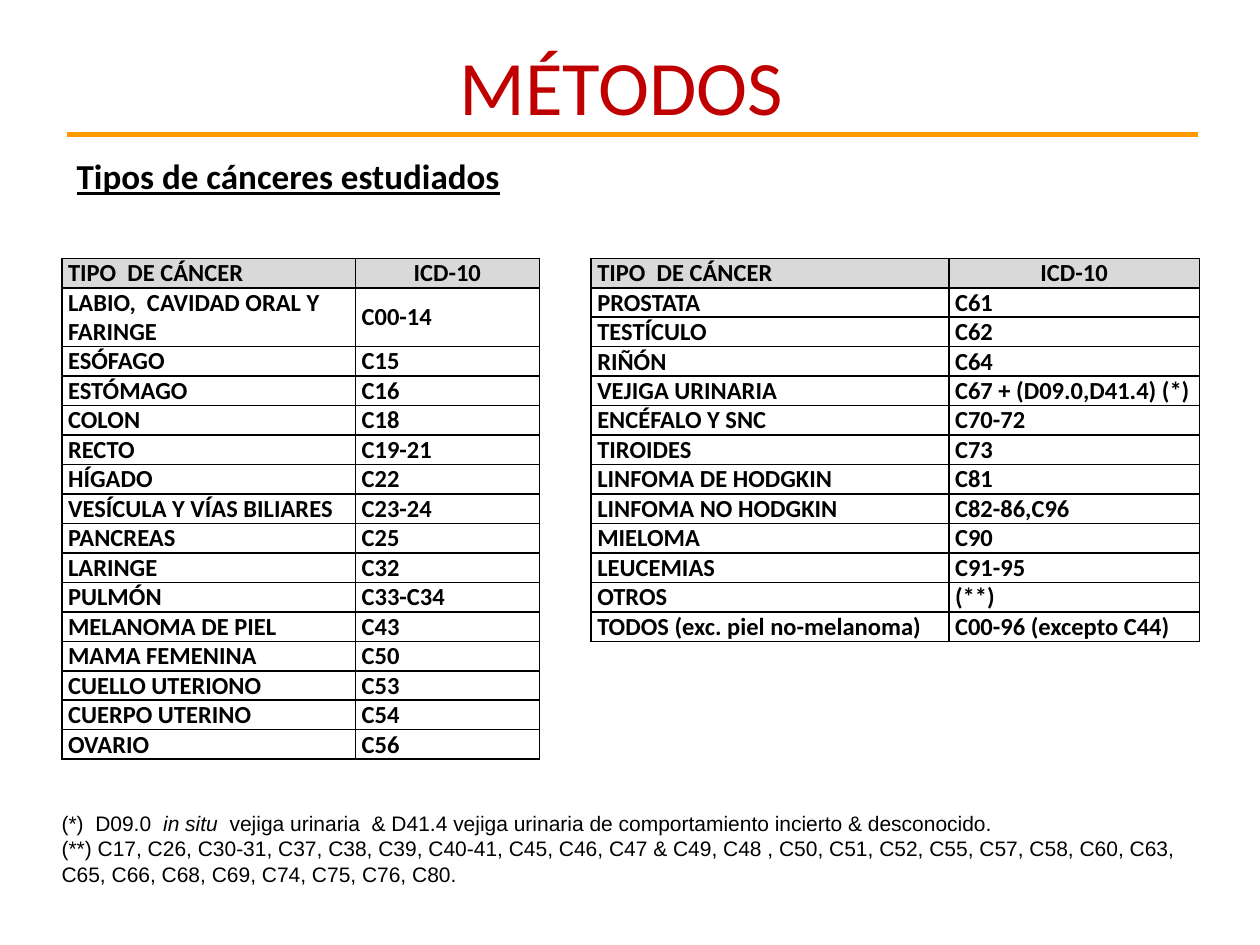
"""Build the methods slide listing the cancer types studied and their ICD-10 codes."""
import pptx
import pptx.dml.color
import pptx.enum.shapes
import pptx.enum.text
import pptx.oxml
import pptx.oxml.ns
import pptx.util

Inches = pptx.util.Inches
Pt = pptx.util.Pt
Align = pptx.enum.text.PP_ALIGN
Anchor = pptx.enum.text.MSO_ANCHOR

HEADER = ("TIPO  DE CÁNCER", "ICD-10")
LEFT_ROWS = [
    HEADER,
    ("LABIO,  CAVIDAD ORAL Y FARINGE", "C00-14"),
    ("ESÓFAGO", "C15"),
    ("ESTÓMAGO", "C16"),
    ("COLON", "C18"),
    ("RECTO", "C19-21"),
    ("HÍGADO", "C22"),
    ("VESÍCULA Y VÍAS BILIARES", "C23-24"),
    ("PANCREAS", "C25"),
    ("LARINGE", "C32"),
    ("PULMÓN", "C33-C34"),
    ("MELANOMA DE PIEL", "C43"),
    ("MAMA FEMENINA", "C50"),
    ("CUELLO UTERIONO", "C53"),
    ("CUERPO UTERINO", "C54"),
    ("OVARIO", "C56"),
]
RIGHT_ROWS = [
    HEADER,
    ("PROSTATA", "C61"),
    ("TESTÍCULO", "C62"),
    ("RIÑÓN", "C64"),
    ("VEJIGA URINARIA", "C67 + (D09.0,D41.4) (*)"),
    ("ENCÉFALO Y SNC", "C70-72"),
    ("TIROIDES", "C73"),
    ("LINFOMA DE HODGKIN", "C81"),
    ("LINFOMA NO HODGKIN", "C82-86,C96"),
    ("MIELOMA", "C90"),
    ("LEUCEMIAS", "C91-95"),
    ("OTROS", "(**)"),
    ("TODOS (exc. piel no-melanoma)", "C00-96 (excepto C44)"),
]
FOOTNOTES = [
    [("(*)  D09.0  ", False), ("in situ", True),
     ("  vejiga urinaria  & D41.4 vejiga urinaria de comportamiento incierto & desconocido.", False)],
    [("(**) C17, C26, C30-31, C37, C38, C39, C40-41, C45, C46, C47 & C49, C48 , C50, C51, C52, "
      "C55, C57, C58, C60, C63, C65, C66, C68, C69, C74, C75, C76, C80.", False)],
]


def color(hex_value):
    return pptx.dml.color.RGBColor.from_string(hex_value)


class SlideBuilder:
    black = "000000"
    red = "C00000"
    orange = "FF9900"
    grey = "D9D9D9"
    heading_font = "Calibri"
    note_font = "Arial"
    row_height = 0.2335

    def __init__(self, slide):
        self.slide = slide

    def style(self, paragraph, size, name, hex_value, bold=False, underline=False, align=Align.LEFT):
        paragraph.alignment = align
        font = paragraph.font
        font.size, font.name, font.bold, font.underline = Pt(size), name, bold, underline
        font.color.rgb = color(hex_value)

    def text(self, box, paragraphs, size, name, hex_value, anchor=Anchor.TOP, **options):
        shape = self.slide.shapes.add_textbox(*map(Inches, box))
        frame = shape.text_frame
        frame.word_wrap = True
        frame.vertical_anchor = anchor
        for index, runs in enumerate(paragraphs):
            paragraph = frame.add_paragraph() if index else frame.paragraphs[0]
            self.style(paragraph, size, name, hex_value, **options)
            for content, italic in runs:
                run = paragraph.add_run()
                run.text = content
                if italic:
                    run.font.italic = True

    def line(self, start, end, hex_value, width):
        connector = self.slide.shapes.add_connector(
            pptx.enum.shapes.MSO_CONNECTOR.STRAIGHT, *map(Inches, start + end))
        connector.line.color.rgb = color(hex_value)
        connector.line.width = Pt(width)
        properties = connector._element.spPr
        properties.append(properties.makeelement(pptx.oxml.ns.qn("a:effectLst"), {}))

    def border(self, cell):
        properties = cell._tc.get_or_add_tcPr()
        for side in ("lnL", "lnR", "lnT", "lnB"):
            properties.append(pptx.oxml.parse_xml(
                f'<a:{side} {pptx.oxml.ns.nsdecls("a")} w="{Pt(1)}"><a:solidFill>'
                f'<a:srgbClr val="{self.black}"/></a:solidFill></a:{side}>'))

    def table(self, left, top, widths, rows, tall_rows=()):
        heights = [self.row_height * (2 if index in tall_rows else 1) for index in range(len(rows))]
        table = self.slide.shapes.add_table(
            len(rows), len(widths), *map(Inches, (left, top, sum(widths), sum(heights)))).table
        table.first_row = table.horz_banding = False
        for column, width in zip(table.columns, widths):
            column.width = Inches(width)
        for row_index, values in enumerate(rows):
            table.rows[row_index].height = Inches(heights[row_index])
            for column_index, value in enumerate(values):
                self.cell(table.cell(row_index, column_index), value,
                          row_index == 0, row_index == 0 and column_index == 1)

    def cell(self, cell, value, shaded, centered):
        cell.text = value
        cell.vertical_anchor = Anchor.MIDDLE
        cell.margin_left = cell.margin_right = Inches(0.05)
        cell.margin_top = cell.margin_bottom = 0
        self.border(cell)
        if shaded:
            cell.fill.solid()
            cell.fill.fore_color.rgb = color(self.grey)
        else:
            cell.fill.background()
        self.style(cell.text_frame.paragraphs[0], 14, self.heading_font, self.black,
                   bold=True, align=Align.CENTER if centered else Align.LEFT)


def main():
    presentation = pptx.Presentation()
    presentation.slide_width, presentation.slide_height = Inches(10), Inches(7.5)
    builder = SlideBuilder(presentation.slides.add_slide(presentation.slide_layouts[6]))
    builder.line((0.53, 1.07), (9.51, 1.07), builder.orange, 3)
    builder.text((0.43, 0.28, 9, 0.79), [[("MÉTODOS", False)]], 44, builder.heading_font,
                 builder.red, Anchor.MIDDLE, align=Align.CENTER)
    builder.text((0.51, 1.18, 5.63, 0.44), [[("Tipos de cánceres estudiados", False)]], 20,
                 builder.heading_font, builder.black, bold=True, underline=True)
    builder.table(0.49, 2.05, (2.33, 1.46), LEFT_ROWS, tall_rows=(1,))
    builder.table(4.69, 2.05, (2.84, 1.99), RIGHT_ROWS)
    builder.text((0.39, 6.38, 9.09, 0.71), FOOTNOTES, 12, builder.note_font,
                 builder.black, Anchor.MIDDLE)
    presentation.save("out.pptx")


if __name__ == "__main__":
    main()
